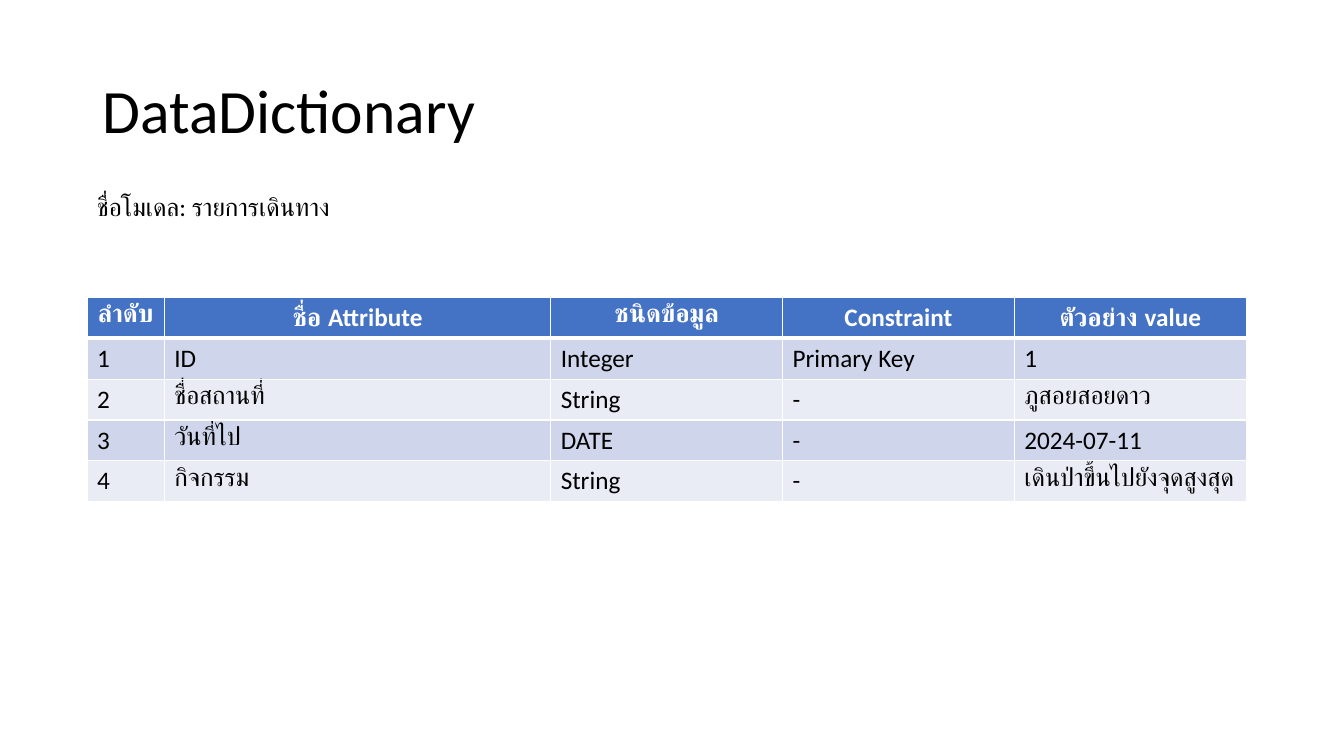
from lxml import etree
from pptx import Presentation
from pptx.dml.color import RGBColor
from pptx.enum.text import MSO_ANCHOR, MSO_AUTO_SIZE, PP_ALIGN
from pptx.oxml import parse_xml
from pptx.oxml.ns import nsdecls
from pptx.util import Pt

LEFT, CENTER = PP_ALIGN.LEFT, PP_ALIGN.CENTER
MIDDLE = MSO_ANCHOR.MIDDLE
NO_FIT, GROW = MSO_AUTO_SIZE.NONE, MSO_AUTO_SIZE.SHAPE_TO_FIT_TEXT
FONT = "Calibri"
BLACK, WHITE = "000000", "FFFFFF"
HEADER_FILL, BAND_FILLS = "4472C4", ("CFD5EA", "E9EBF5")

COLUMN_WIDTHS = (55.2, 276, 165.6, 165.6, 165.6)
ROW_HEIGHT = 29.2
ROWS = (
    ("ลำดับ", "ชื่อ Attribute", "ชนิดข้อมูล", "Constraint", "ตัวอย่าง value"),
    ("1", "ID", "Integer", "Primary Key", "1"),
    ("2", "ชื่อสถานที่", "String", "-", "ภูสอยสอยดาว"),
    ("3", "วันที่ไป", "DATE", "-", "2024-07-11"),
    ("4", "กิจกรรม", "String", "-", "เดินป่าขึ้นไปยังจุดสูงสุด"),
)


def rgb(color):
    return RGBColor.from_string(color)


def write(tf, text, size, color=BLACK, bold=False, align=LEFT):
    tf.text = text
    p = tf.paragraphs[0]
    p.alignment = align
    p.font.name, p.font.size, p.font.bold = FONT, Pt(size), bold
    p.font.color.rgb = rgb(color)
    return p


def place(s, box):
    s.left, s.top, s.width, s.height = (Pt(v) for v in box)


def add_title(slide, box, text):
    s = slide.shapes.title
    place(s, box)
    tf = s.text_frame
    tf.auto_size, tf.vertical_anchor, tf.word_wrap = NO_FIT, MIDDLE, True
    write(tf, text, 44).line_spacing = 0.9


def add_model_name(slide, box, text):
    tf = slide.shapes.add_textbox(*(Pt(v) for v in box)).text_frame
    tf.word_wrap, tf.auto_size = True, GROW
    write(tf, text, 18)


def set_borders(cell, header_above, is_header):
    # Thick rule between header and body, thin rules elsewhere
    widths = {"L": 1, "R": 1, "T": 3 if header_above else 1, "B": 3 if is_header else 1}
    tc_pr = cell._tc.get_or_add_tcPr()
    for side, width in widths.items():
        ln = parse_xml(f'<a:ln{side} {nsdecls("a")} w="{Pt(width)}"/>')
        fill = etree.SubElement(ln, ln.tag.replace(f"ln{side}", "solidFill"))
        etree.SubElement(fill, fill.tag.replace("solidFill", "srgbClr"), val=WHITE)
        tc_pr.append(ln)


def add_dictionary(slide, left, top):
    width, height = sum(COLUMN_WIDTHS), ROW_HEIGHT * len(ROWS)
    table = slide.shapes.add_table(
        len(ROWS), len(COLUMN_WIDTHS), Pt(left), Pt(top), Pt(width), Pt(height)
    ).table
    for column, column_width in zip(table.columns, COLUMN_WIDTHS):
        column.width = Pt(column_width)
    for i, row in enumerate(ROWS):
        table.rows[i].height = Pt(ROW_HEIGHT)
        is_header = i == 0
        for j, text in enumerate(row):
            cell = table.cell(i, j)
            set_borders(cell, i == 1, is_header)
            cell.fill.solid()
            cell.fill.fore_color.rgb = rgb(HEADER_FILL if is_header else BAND_FILLS[(i - 1) % 2])
            write(cell.text_frame, text, 18, WHITE if is_header else BLACK,
                  is_header, CENTER if is_header else LEFT)


def main():
    prs = Presentation()
    prs.slide_width, prs.slide_height = Pt(960), Pt(540)
    slide = prs.slides.add_slide(prs.slide_layouts[5])
    for s in list(slide.placeholders):
        if s.placeholder_format.idx != 0:
            s.element.getparent().remove(s.element)

    # Title, table and model name
    add_title(slide, (66, 28.75, 828, 104.4), "DataDictionary")
    add_dictionary(slide, 62.2, 212.4)
    add_model_name(slide, (62.2, 133.2, 294.5, 29.1), "ชื่อโมเดล: รายการเดินทาง")
    prs.save("out.pptx")


if __name__ == "__main__":
    main()
